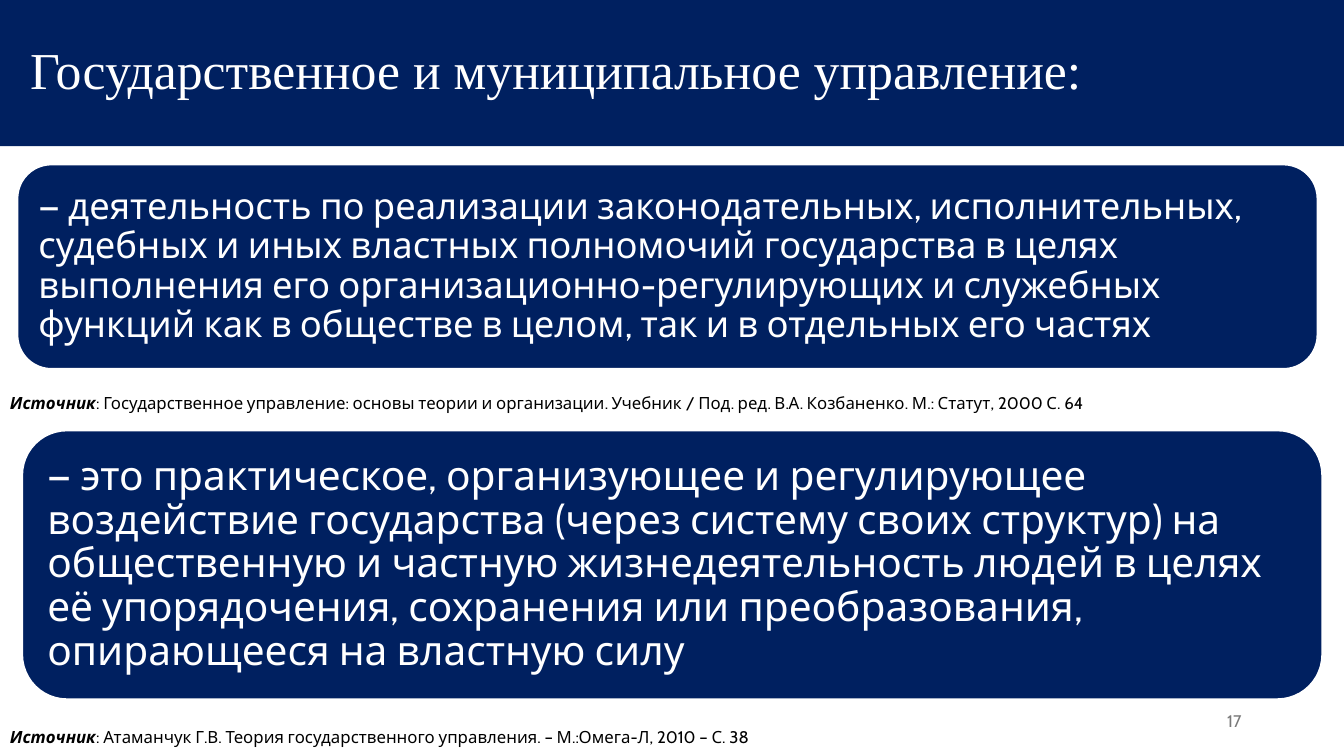
import pptx
import pptx.util
import pptx.dml.color
import pptx.enum.shapes
import pptx.enum.text

Pt = pptx.util.Pt
Align = pptx.enum.text.PP_ALIGN
Anchor = pptx.enum.text.MSO_ANCHOR
NAVY = "002060"
WHITE = "FFFFFF"


def rgb(value):
    return pptx.dml.color.RGBColor.from_string(value)


def write(box, text, size, color="000000", font="Cabin", lead="", align=Align.LEFT,
          anchor=Anchor.TOP, spacing=1.0, margin=None):
    frame = box.text_frame
    frame.word_wrap = True
    frame.auto_size = pptx.enum.text.MSO_AUTO_SIZE.NONE
    frame.vertical_anchor = anchor
    if margin is not None:
        frame.margin_left = frame.margin_right = Pt(margin)
        frame.margin_top = frame.margin_bottom = Pt(margin)
    para = frame.paragraphs[0]
    para.alignment = align
    para.line_spacing = spacing
    for part, strong in ((lead, True), (text, False)):
        if part:
            span = para.add_run()
            span.text = part
            span.font.name = font
            span.font.size = Pt(size)
            span.font.bold = span.font.italic = strong
            span.font.color.rgb = rgb(color)
    return para


deck = pptx.Presentation()
deck.slide_width = Pt(960)
deck.slide_height = Pt(540)
page = deck.slides.add_slide(deck.slide_layouts[5])

title = page.shapes.title
title.left, title.top, title.width, title.height = Pt(0), Pt(0), Pt(960), Pt(104.4)
title.fill.solid()
title.fill.fore_color.rgb = rgb(NAVY)
title_para = write(title, "Государственное и муниципальное управление:", 37, color=WHITE,
                   font="Times New Roman", anchor=Anchor.MIDDLE, spacing=0.9)
title_para._p.get_or_add_pPr().set("indent", str(Pt(14.4)))

definitions = [
    (12.4, 117.4, 146.2, 26, 7.9,
     "— деятельность по реализации законодательных, исполнительных, судебных и иных "
     "властных полномочий государства в целях выполнения его организационно-регулирующих "
     "и служебных функций как в обществе в целом, так и в отдельных его частях"),
    (15.8, 307.4, 192.2, 29, 8.7,
     "— это практическое, организующее и регулирующее воздействие государства (через "
     "систему своих структур) на общественную и частную жизнедеятельность людей в целях "
     "её упорядочения, сохранения или преобразования, опирающееся на властную силу"),
]
for left, top, height, size, margin, text in definitions:
    card = page.shapes.add_shape(pptx.enum.shapes.MSO_SHAPE.ROUNDED_RECTANGLE,
                                 Pt(left), Pt(top), Pt(928.8), Pt(height))
    card.shadow.inherit = False
    card.fill.solid()
    card.fill.fore_color.rgb = rgb(NAVY)
    card.line.color.rgb = rgb(WHITE)
    card.line.width = Pt(1.5)
    write(card, text, size, color=WHITE, anchor=Anchor.MIDDLE, spacing=0.9, margin=margin)

sources = [
    (277.2, ": Государственное управление: основы теории и организации. Учебник / Под. ред. "
            "В.А. Козбаненко. М.: Статут, 2000 С. 64"),
    (515.5, ": Атаманчук Г.В. Теория государственного управления. – М.:Омега-Л, 2010 – С. 38"),
]
for top, text in sources:
    source = page.shapes.add_textbox(Pt(0), Pt(top), Pt(960), Pt(21.6))
    write(source, text, 12, lead="Источник")

page_number = page.shapes.add_textbox(Pt(678), Pt(500.4), Pt(216), Pt(28.8))
write(page_number, "17", 12, color="797979", align=Align.RIGHT, anchor=Anchor.MIDDLE)

deck.save("out.pptx")
